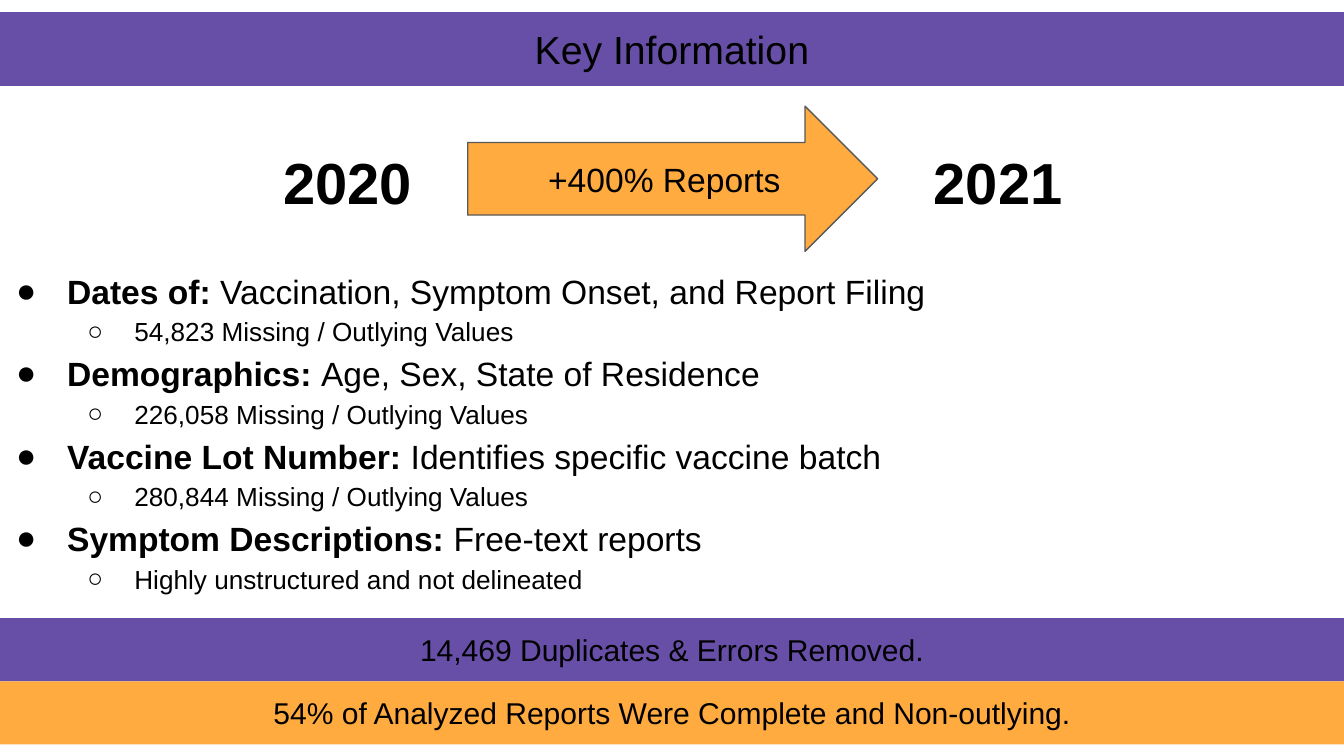
from dataclasses import dataclass

import pptx
import pptx.dml.color
import pptx.enum.shapes
import pptx.enum.text
import pptx.oxml
import pptx.oxml.ns
import pptx.util
from pptx.util import Inches


@dataclass(frozen=True)
class Theme:
    font: str = "Arial"
    text: str = "000000"
    purple: str = "674EA7"
    orange: str = "FFAB40"
    outline: str = "595959"
    title: float = 21
    year: float = 31
    body: float = 18
    detail: float = 14
    band: float = 16.1


THEME = Theme()
ANCHOR = pptx.enum.text.MSO_ANCHOR
SHAPE = pptx.enum.shapes.MSO_SHAPE

TOPICS = [
    ("Dates of: ", "Vaccination, Symptom Onset, and Report Filing",
     "54,823 Missing / Outlying Values"),
    ("Demographics: ", "Age, Sex, State of Residence",
     "226,058 Missing / Outlying Values"),
    ("Vaccine Lot Number: ", "Identifies specific vaccine batch",
     "280,844 Missing / Outlying Values"),
    ("Symptom Descriptions: ", "Free-text reports",
     "Highly unstructured and not delineated"),
]


def rgb(color):
    return pptx.dml.color.RGBColor.from_string(color)


def style_run(r, size, bold=False):
    r.font.name = THEME.font
    r.font.size = pptx.util.Pt(size)
    r.font.bold = bold
    r.font.color.rgb = rgb(THEME.text)


def set_frame(tf, side, anchor):
    tf.word_wrap = True
    tf.auto_size = pptx.enum.text.MSO_AUTO_SIZE.NONE
    tf.margin_left = tf.margin_right = Inches(side)
    tf.margin_top = tf.margin_bottom = Inches(0.1)
    tf.vertical_anchor = anchor


def set_indent(p, left, hanging=0, bullet=None):
    pPr = p._p.get_or_add_pPr()
    pPr.set("marL", str(Inches(left)))
    pPr.set("indent", str(Inches(hanging)))
    if bullet:
        ns = pptx.oxml.ns.nsdecls("a")
        pPr.append(pptx.oxml.parse_xml(
            f'<a:buClr {ns}><a:srgbClr val="{THEME.text}"/></a:buClr>'))
        pPr.append(pptx.oxml.parse_xml(f'<a:buFont {ns} typeface="{THEME.font}"/>'))
        pPr.append(pptx.oxml.parse_xml(f'<a:buChar {ns} char="{bullet}"/>'))


def format_band(sp, text, color, size):
    sp.fill.solid()
    sp.fill.fore_color.rgb = rgb(color)
    sp.line.fill.background()
    tf = sp.text_frame
    set_frame(tf, 0, ANCHOR.MIDDLE)
    tf.text = text
    p = tf.paragraphs[0]
    p.alignment = pptx.enum.text.PP_ALIGN.CENTER
    style_run(p.runs[0], size)


def add_title(s, text):
    sp = s.shapes.title
    sp.left, sp.top, sp.width, sp.height = (
        Inches(v) for v in (0, 0.09, 10, 0.55))
    format_band(sp, text, THEME.purple, THEME.title)


def add_band(s, top, text, color):
    sp = s.shapes.add_shape(
        SHAPE.RECTANGLE, 0, Inches(top), Inches(10), Inches(0.47))
    sp.shadow.inherit = False
    format_band(sp, text, color, THEME.band)


def add_year(s, left, text):
    sp = s.shapes.add_textbox(
        Inches(left), Inches(0.99), Inches(1.28), Inches(0.63))
    tf = sp.text_frame
    set_frame(tf, 0.1, ANCHOR.TOP)
    tf.text = text
    style_run(tf.paragraphs[0].runs[0], THEME.year, bold=True)


def add_growth_arrow(s, text):
    sp = s.shapes.add_shape(
        SHAPE.RIGHT_ARROW, Inches(3.48), Inches(0.79), Inches(3.05), Inches(1.08))
    sp.shadow.inherit = False
    sp.fill.solid()
    sp.fill.fore_color.rgb = rgb(THEME.orange)
    sp.line.color.rgb = rgb(THEME.outline)
    sp.line.width = pptx.util.Pt(0.75)
    tf = sp.text_frame
    set_frame(tf, 0.1, ANCHOR.MIDDLE)
    tf.text = text
    p = tf.paragraphs[0]
    p.alignment = pptx.enum.text.PP_ALIGN.LEFT
    set_indent(p, 0.5)
    style_run(p.runs[0], THEME.body)


def add_topics(s, topics):
    sp = s.shapes.add_textbox(0, Inches(1.87), Inches(10), Inches(2.79))
    tf = sp.text_frame
    set_frame(tf, 0, ANCHOR.TOP)
    for i, (label, content, detail) in enumerate(topics):
        # Bold label followed by its content
        p = tf.add_paragraph() if i else tf.paragraphs[0]
        p.line_spacing = 1.15
        set_indent(p, 0.5, -0.38, "●")
        for text, bold in ((label, True), (content, False)):
            r = p.add_run()
            r.text = text
            style_run(r, THEME.body, bold)

        # Detail one level below
        p = tf.add_paragraph()
        p.text = detail
        p.level = 1
        p.line_spacing = 1.15
        set_indent(p, 1, -0.35, "○")
        style_run(p.runs[0], THEME.detail)


def main():
    prs = pptx.Presentation()
    # Widescreen, 16:9
    prs.slide_width = Inches(10)
    prs.slide_height = prs.slide_width * 9 // 16
    s = prs.slides.add_slide(prs.slide_layouts[5])

    # Heading and topic list
    add_title(s, "Key Information")
    add_topics(s, TOPICS)

    # Growth between the two years
    add_year(s, 2.01, "2020")
    add_growth_arrow(s, "+400% Reports")
    add_year(s, 6.85, "2021")

    # Closing bands
    add_band(s, 4.6, "14,469 Duplicates & Errors Removed.", THEME.purple)
    add_band(s, 5.07, "54% of Analyzed Reports Were Complete and Non-outlying.",
             THEME.orange)

    prs.save("out.pptx")


if __name__ == "__main__":
    main()
